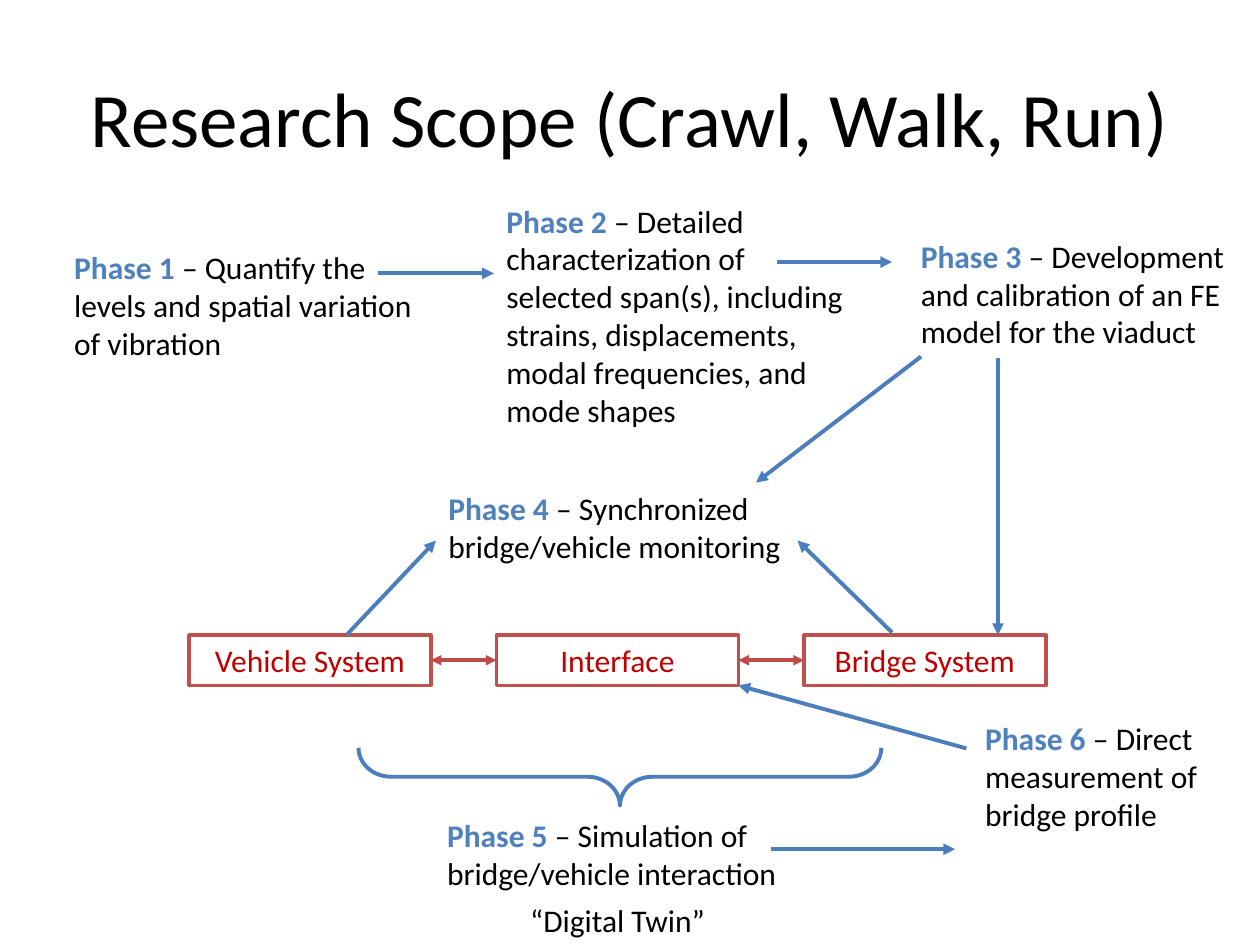
from lxml import etree
from pptx import Presentation
from pptx.dml.color import RGBColor
from pptx.enum.shapes import MSO_CONNECTOR, MSO_SHAPE
from pptx.enum.text import MSO_ANCHOR, PP_ALIGN
from pptx.oxml.ns import qn
from pptx.util import Inches, Pt

STRAIGHT = MSO_CONNECTOR.STRAIGHT
RECTANGLE = MSO_SHAPE.RECTANGLE
RIGHT_BRACE = MSO_SHAPE.RIGHT_BRACE
MIDDLE = MSO_ANCHOR.MIDDLE
CENTER = PP_ALIGN.CENTER
LEFT = PP_ALIGN.LEFT

BLACK = RGBColor(0x00, 0x00, 0x00)
WHITE = RGBColor(0xFF, 0xFF, 0xFF)
PHASE_BLUE = RGBColor(0x4F, 0x81, 0xBD)
ARROW_BLUE = RGBColor(0x4B, 0x7E, 0xBC)
BOX_RED = RGBColor(0xC0, 0x50, 0x4D)
LINK_RED = RGBColor(0xBF, 0x4C, 0x48)
LABEL_RED = RGBColor(0xC0, 0x00, 0x00)

COLUMNS, ROWS = 100, 75
SYSTEM_TOP, SYSTEM_WIDTH, SYSTEM_HEIGHT = 50.4, 19.2, 4
SYSTEM_LEFT, SYSTEM_STEP = 15, 24.4
SYSTEMS = ["Vehicle System", "Interface", "Bridge System"]

PHASES = [
    ("Phase 1", " – Quantify the levels and spatial variation of vibration", (4.9, 19.2, 29.2, 10.1)),
    ("Phase 2", " – Detailed characterization of selected span(s), including strains, "
     "displacements, modal frequencies, and mode shapes", (39.2, 15.5, 29.2, 19.2)),
    ("Phase 3", " – Development and calibration of an FE model for the viaduct", (72.1, 18.3, 29.2, 10.1)),
    ("Phase 4", " – Synchronized bridge/vehicle monitoring", (34.6, 38.3, 29.2, 7.1)),
    ("Phase 5", " – Simulation of bridge/vehicle interaction", (34.5, 64.3, 29.2, 7.1)),
    ("Phase 6", " – Direct measurement of bridge profile", (77.2, 56.6, 24.2, 10.1)),
]

ARROWS = [
    ((30, 21.7), (39.2, 21.7)),
    ((61.7, 20.8), (70.8, 20.8)),
    ((73.1, 28.3), (60, 38.3)),
    ((79.2, 28.4), (79.2, 50.4)),
    ((27.5, 50.4), (34.6, 42.9)),
    ((70.8, 50.2), (63.3, 42.9)),
    ((76.7, 59.4), (58.6, 54.4)),
    ((61.2, 67.4), (75.8, 67.4)),
]


class ScopePage:
    """Draws styled elements on one slide using a grid of columns and rows."""

    def __init__(self, deck, font="Calibri", size=18):
        self.page = deck.slides.add_slide(deck.slide_layouts[5])
        self.column = deck.slide_width / COLUMNS
        self.row = deck.slide_height / ROWS
        self.font, self.size = font, size

    def place(self, *lengths):
        """Converts alternating columns and rows to slide lengths."""
        units = (self.column, self.row) * 2
        return [round(length * unit) for length, unit in zip(lengths, units)]

    def format(self, span, color, size=None, bold=False):
        """Applies the page font to a run."""
        span.font.name = self.font
        span.font.size = Pt(size or self.size)
        span.font.bold = bold
        span.font.color.rgb = color

    def title(self, text, frame, size=44):
        """Moves and fills the title placeholder."""
        box = self.page.shapes.title
        box.left, box.top, box.width, box.height = self.place(*frame)
        box.text_frame.text = text
        box.text_frame.vertical_anchor = MIDDLE
        para = box.text_frame.paragraphs[0]
        para.alignment = CENTER
        self.format(para.runs[0], BLACK, size)

    def text(self, frame, *pieces):
        """Adds a wrapped text box of (text, color, bold) pieces."""
        box = self.page.shapes.add_textbox(*self.place(*frame))
        box.text_frame.word_wrap = True
        para = box.text_frame.paragraphs[0]
        para.alignment = LEFT
        for words, color, bold in pieces:
            span = para.add_run()
            span.text = words
            self.format(span, color, bold=bold)

    def system(self, label, left):
        """Adds an outlined system box."""
        frame = self.place(left, SYSTEM_TOP, SYSTEM_WIDTH, SYSTEM_HEIGHT)
        box = self.page.shapes.add_shape(RECTANGLE, *frame)
        box.shadow.inherit = False
        box.fill.solid()
        box.fill.fore_color.rgb = WHITE
        box.line.color.rgb = BOX_RED
        box.line.width = Pt(2)
        box.text_frame.text = label
        box.text_frame.word_wrap = True
        para = box.text_frame.paragraphs[0]
        para.alignment = CENTER
        self.format(para.runs[0], LABEL_RED)

    def brace(self, frame):
        """Adds a right brace turned to point down."""
        brace = self.page.shapes.add_shape(RIGHT_BRACE, *self.place(*frame))
        brace.rotation = 90
        brace.adjustments[0] = 0.56
        brace.shadow.inherit = False
        brace.fill.background()
        brace.line.color.rgb = ARROW_BLUE
        brace.line.width = Pt(2.25)

    def arrow(self, start, end, color=ARROW_BLUE, width=2.25, ends=("tailEnd",)):
        """Adds a straight line with triangle arrowheads."""
        line = self.page.shapes.add_connector(STRAIGHT, *self.place(*start, *end))
        line.line.color.rgb = color
        line.line.width = Pt(width)
        outline = line.line._get_or_add_ln()
        for end_name in ends:
            etree.SubElement(outline, qn(f"a:{end_name}"), type="triangle")
        etree.SubElement(line._element.spPr, qn("a:effectLst"))


def main():
    """Builds and saves the research scope slide."""
    deck = Presentation()
    deck.slide_width, deck.slide_height = Inches(10), Inches(7.5)
    scope = ScopePage(deck)
    scope.title("Research Scope (Crawl, Walk, Run)", (5, 3, 90, 12.5))
    for name, description, frame in PHASES:
        scope.text(frame, (name, PHASE_BLUE, True), (description, BLACK, False))
    scope.text((41.1, 71, 20, 4), ("“Digital Twin”", BLACK, False))

    lefts = [SYSTEM_LEFT + SYSTEM_STEP * index for index in range(len(SYSTEMS))]
    for label, left in zip(SYSTEMS, lefts):
        scope.system(label, left)
    middle = SYSTEM_TOP + SYSTEM_HEIGHT / 2
    for left, following in zip(lefts, lefts[1:]):
        scope.arrow((left + SYSTEM_WIDTH, middle), (following, middle),
                    LINK_RED, 2, ("headEnd", "tailEnd"))

    scope.brace((46.9, 40.9, 4.6, 41.5))
    for start, end in ARROWS:
        scope.arrow(start, end)
    deck.save("out.pptx")


if __name__ == "__main__":
    main()
